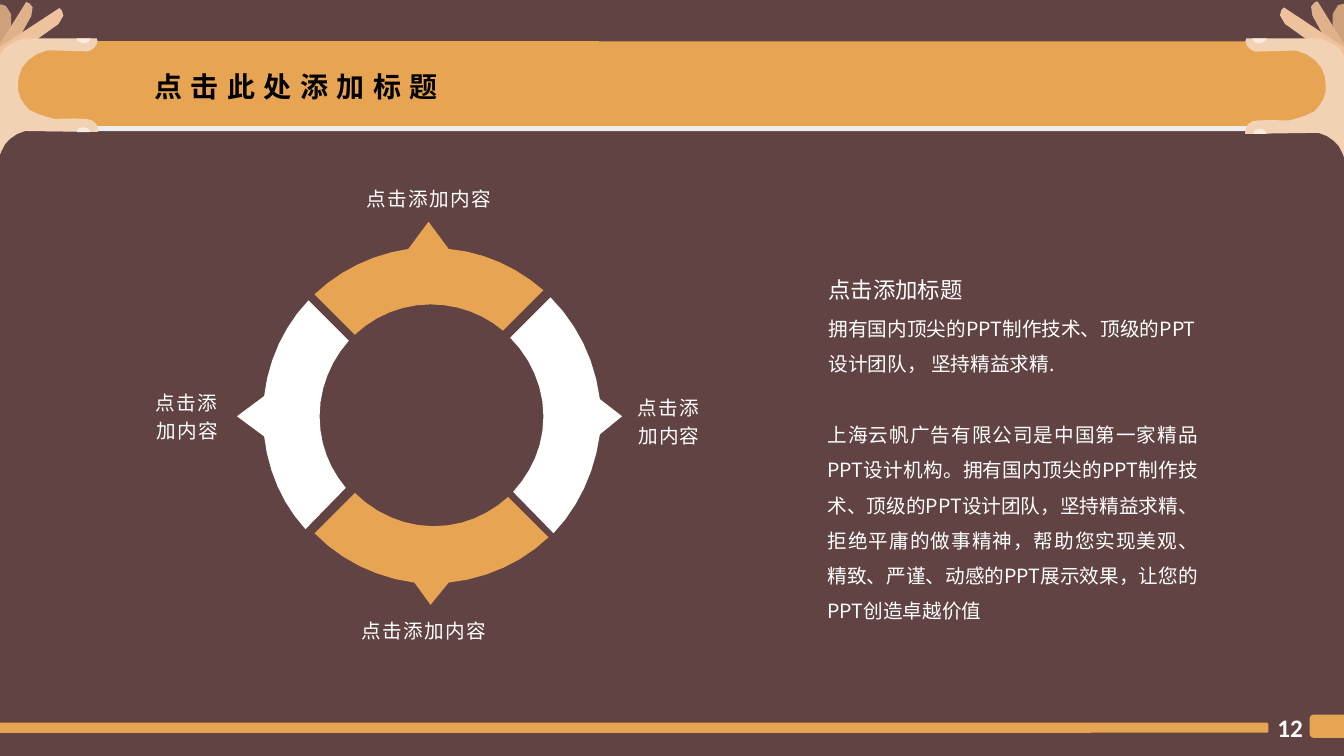
import pptx
import pptx.util
import pptx.dml.color
import pptx.enum.shapes
import pptx.enum.text
import pptx.oxml.ns
import lxml.etree
from dataclasses import dataclass

Inches = pptx.util.Inches
Pt = pptx.util.Pt
qn = pptx.oxml.ns.qn
Align = pptx.enum.text.PP_ALIGN


@dataclass(frozen=True)
class Theme:
    wine: str = "2D0505"
    gold: str = "E7A553"
    white: str = "FFFFFF"
    black: str = "000000"
    dark: str = "CFA17B"
    tan: str = "DFB28B"
    peach: str = "EEC29D"
    skin: str = "F1D2B5"
    nail: str = "FBEBDE"
    font: str = "Noto Sans CJK SC"
    digit: str = "Calibri"
    title: int = 20
    page: int = 18
    head: int = 16
    body: int = 14


T = Theme()
WIDE, HIGH = 13.33, 7.5
TITLE = ("点击此处添加标题", (1.43, 0.64, 3.54, 0.44))
PAGE = ("12", (12.57, 7.02, 0.46, 0.4))
LABEL = "点击添加内容"
LABELS = [
    ((3.54, 1.76, 1.68, 0.38), Align.JUSTIFY),
    ((6.15, 3.83, 0.97, 0.66), Align.CENTER),
    ((1.37, 3.78, 0.97, 0.66), Align.CENTER),
    ((3.49, 6.05, 1.66, 0.38), Align.JUSTIFY),
]
NOTES = [
    ("点击添加标题", (8.12, 2.56, 2.24, 0.5), T.head, Align.LEFT),
    ("拥有国内顶尖的PPT制作技术、顶级的PPT设计团队， 坚持精益求精.",
     (8.12, 2.98, 3.99, 0.81), T.body, Align.LEFT),
    ("上海云帆广告有限公司是中国第一家精品PPT设计机构。拥有国内顶尖的PPT制作技术、"
     "顶级的PPT设计团队，坚持精益求精、拒绝平庸的做事精神，帮助您实现美观、精致、"
     "严谨、动感的PPT展示效果，让您的PPT创造卓越价值",
     (8.11, 4.03, 3.87, 2.22), T.body, Align.JUSTIFY),
]
RECT = pptx.enum.shapes.MSO_SHAPE.RECTANGLE
ROUND = pptx.enum.shapes.MSO_SHAPE.ROUNDED_RECTANGLE
BARS = [
    (RECT, (0, 0, WIDE, HIGH), T.wine, 75),
    (ROUND, (0.3, 0.46, 13.03, 0.84), T.white, 90),
    (ROUND, (0.13, 0.41, 13.2, 0.84), T.gold, 100),
]
FOOT = [
    (ROUND, (-0.11, 7.17, 12.69, 0.1), T.gold, 100),
    (ROUND, (12.99, 7.09, 0.57, 0.23), T.gold, 100),
]
HAND = [
    (T.dark, [(-0.02, 0.75), (-0.02, 0.05), (0, 0.05, 0.06, 0.01, 0.11, 0.14),
              (0.12, 0.85)]),
    (T.tan, [(-0.11, 0.62), (-0.11, 0.61), (0.26, 0.02),
             (0.28, 0.03, 0.36, 0.04, 0.31, 0.16), (-0.04, 0.79)]),
    (T.peach, [(-0.03, 0.49), (-0.02, 0.48), (0.59, 0.08),
               (0.6, 0.09, 0.68, 0.14, 0.58, 0.24), (-0.04, 0.68)]),
    (T.skin, [(-0.04, 0.69), (-0.02, 0.65, -0.03, 0.59, 0, 0.55),
              (0.03, 0.5, 0.05, 0.46, 0.1, 0.44), (0.14, 0.42, 0.17, 0.4, 0.25, 0.38),
              (0.96, 0.38), (0.98, 0.41, 0.96, 0.44, 0.94, 0.47),
              (0.92, 0.49, 0.9, 0.5, 0.87, 0.51), (0.47, 0.5),
              (0.36, 0.52, 0.27, 0.59, 0.22, 0.67), (0.17, 0.76, 0.18, 0.84, 0.18, 0.9),
              (0.19, 0.98, 0.25, 1.05, 0.29, 1.09), (0.37, 1.14, 0.47, 1.16, 0.54, 1.18),
              (0.65, 1.18, 0.74, 1.17, 0.85, 1.18), (0.91, 1.18, 0.94, 1.21, 0.96, 1.24),
              (0.97, 1.27, 0.97, 1.29, 0.97, 1.31), (0.25, 1.3),
              (0.16, 1.32, 0.09, 1.38, 0.05, 1.43), (0, 1.51, -0.01, 1.58, -0.04, 1.65)]),
    (T.nail, [(0.76, 0.38), (0.76, 0.39, 0.78, 0.42, 0.8, 0.42),
              (0.82, 0.43, 0.85, 0.43, 0.87, 0.42), (0.88, 0.41, 0.9, 0.4, 0.9, 0.38)]),
    (T.nail, [(0.89, 1.31), (0.9, 1.3, 0.87, 1.27, 0.86, 1.27),
              (0.84, 1.26, 0.81, 1.26, 0.79, 1.27), (0.78, 1.28, 0.76, 1.29, 0.76, 1.31)]),
]
RING = [
    (T.gold, [(4.25, 2.2), (4.05, 2.47), (3.7, 2.52, 3.37, 2.68, 3.12, 2.92), (3.52, 3.32),
              (3.72, 3.13, 3.99, 3.02, 4.27, 3.02), (4.55, 3.02, 4.8, 3.12, 4.99, 3.28),
              (5.39, 2.88), (5.14, 2.66, 4.81, 2.5, 4.45, 2.47)]),
    (T.white, [(5.95, 3.96), (5.9, 3.56, 5.72, 3.21, 5.46, 2.95), (5.06, 3.35),
               (5.26, 3.55, 5.39, 3.83, 5.39, 4.13), (5.39, 4.43, 5.27, 4.68, 5.09, 4.88),
               (5.49, 5.29), (5.74, 5.03, 5.9, 4.68, 5.95, 4.31), (6.17, 4.13)]),
    (T.white, [(2.62, 3.93), (2.35, 4.13), (2.62, 4.33),
               (2.66, 4.68, 2.8, 5, 3.03, 5.25), (3.43, 4.84),
               (3.27, 4.65, 3.17, 4.41, 3.17, 4.13), (3.17, 3.85, 3.28, 3.58, 3.46, 3.38),
               (3.06, 2.98), (2.82, 3.23, 2.66, 3.57, 2.62, 3.93)]),
    (T.gold, [(3.52, 4.89), (3.12, 5.29), (3.37, 5.55, 3.72, 5.73, 4.11, 5.78), (4.27, 6),
              (4.45, 5.78), (4.83, 5.74, 5.18, 5.58, 5.44, 5.33), (5.04, 4.93),
              (4.84, 5.11, 4.59, 5.22, 4.3, 5.22), (4, 5.22, 3.72, 5.09, 3.52, 4.89)]),
]


def paint(shape, color, alpha=100):
    shape.shadow.inherit = False
    shape.fill.solid()
    shape.fill.fore_color.rgb = pptx.dml.color.RGBColor.from_string(color)
    shape.line.fill.background()
    if alpha < 100:
        tone = shape.fill._xPr.find(".//" + qn("a:srgbClr"))
        lxml.etree.SubElement(tone, qn("a:alpha")).set("val", str(alpha * 1000))


def add_bar(slide, kind, box, color, alpha):
    paint(slide.shapes.add_shape(kind, *map(Inches, box)), color, alpha)


def trace(steps, count):
    dots = [steps[0]]
    for step in steps[1:]:
        if len(step) == 2:
            dots.append(step)
            continue
        ends = [dots[-1], step[:2], step[2:4], step[4:]]
        for i in range(1, count + 1):
            t = i / count
            mix = ((1 - t) ** 3, 3 * t * (1 - t) ** 2, 3 * t * t * (1 - t), t ** 3)
            dots.append(tuple(sum(m * e[k] for m, e in zip(mix, ends)) for k in (0, 1)))
    return dots


def mirror(dot):
    return WIDE - 1.01 * dot[0], 0.38 + 1.02 * (dot[1] - 0.38)


def add_form(slide, color, dots):
    dots = [tuple(map(Inches, dot)) for dot in dots]
    form = slide.shapes.build_freeform(*dots[0])
    form.add_line_segments(dots[1:], close=True)
    paint(form.convert_to_shape(), color)


def write(shape, text, box, size, color=T.white, align=Align.LEFT, face=T.font,
          bold=False, gap=0, lead=None, wrap=True):
    shape.left, shape.top, shape.width, shape.height = map(Inches, box)
    frame = shape.text_frame
    frame.text = text
    frame.word_wrap = wrap
    frame.auto_size = pptx.enum.text.MSO_AUTO_SIZE.NONE
    frame.vertical_anchor = pptx.enum.text.MSO_ANCHOR.TOP
    para = frame.paragraphs[0]
    para.alignment = align
    para.space_before = Pt(0)
    if lead:
        para.line_spacing = lead
    font = para.font
    font.size, font.bold, font.name = Pt(size), bold, face
    font.color.rgb = pptx.dml.color.RGBColor.from_string(color)
    font._rPr.set("spc", str(gap))
    lxml.etree.SubElement(font._rPr, qn("a:ea")).set("typeface", face)


def add_text(slide, text, box, size, **style):
    write(slide.shapes.add_textbox(*map(Inches, box)), text, box, size, **style)


def main():
    deck = pptx.Presentation()
    deck.slide_width, deck.slide_height = Inches(WIDE), Inches(HIGH)
    slide = deck.slides.add_slide(deck.slide_layouts[5])
    for bar in BARS:
        add_bar(slide, *bar)
    for color, steps in HAND:
        add_form(slide, color, trace(steps, 3))
    for color, steps in HAND:
        add_form(slide, color, [mirror(dot) for dot in trace(steps, 3)])
    for color, steps in RING:
        add_form(slide, color, trace(steps, 6))
    for box, align in LABELS:
        add_text(slide, LABEL, box, T.body, align=align, gap=90, lead=Pt(20))
    for text, box, size, align in NOTES:
        add_text(slide, text, box, size, align=align, lead=1.5)
    for bar in FOOT:
        add_bar(slide, *bar)
    add_text(slide, *PAGE, T.page, face=T.digit, bold=True, wrap=False)
    title = slide.shapes.title
    write(title, *TITLE, T.title, color=T.black, bold=True, gap=600)
    slide.shapes._spTree.append(title._element)
    deck.save("out.pptx")


if __name__ == "__main__":
    main()
